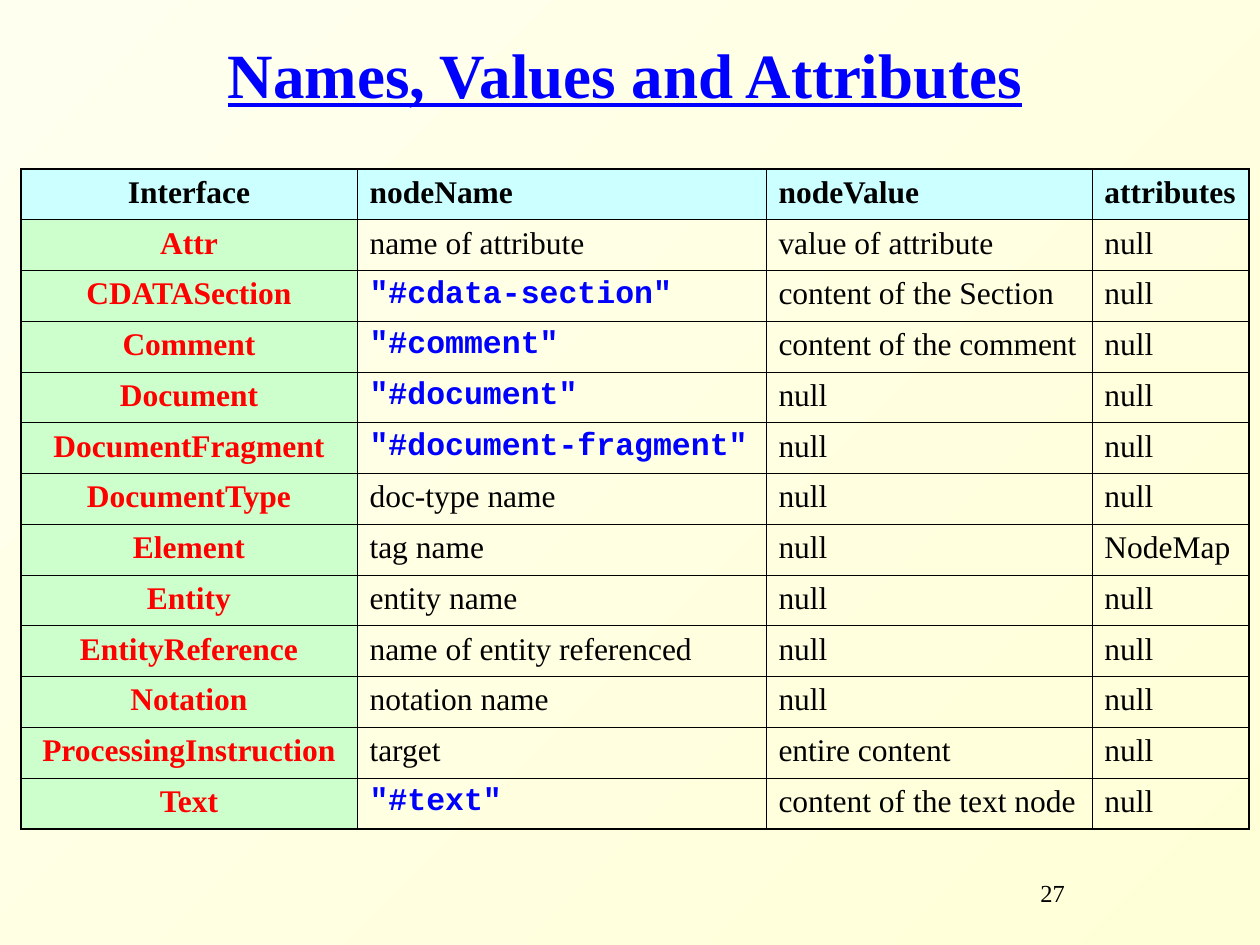
"""Build a slide with a table of DOM node names, values and attributes."""
from dataclasses import dataclass

from lxml.etree import SubElement
from pptx import Presentation
from pptx.dml.color import RGBColor
from pptx.enum.text import MSO_ANCHOR, MSO_AUTO_SIZE, PP_ALIGN
from pptx.oxml.ns import qn
from pptx.util import Emu, Inches, Pt


@dataclass(frozen=True)
class Theme:
    serif: str = "Times New Roman"
    mono: str = "Courier New"
    black: str = "000000"
    blue: str = "0000FF"
    red: str = "FF0000"
    header_fill: str = "CCFFFF"
    interface_fill: str = "CCFFCC"
    background: tuple = ("FFFFD7", "FFFFEF")
    title_size: int = 36
    table_size: int = 18
    number_size: int = 14
    thin: float = 0.45
    thick: float = 1.08


THEME = Theme()
PX_PER_INCH = 126
COLUMN_WIDTHS = (336, 409, 326, 157)
TABLE_HEIGHT = 660
ROWS = (
    ("Interface", "nodeName", "nodeValue", "attributes"),
    ("Attr", "name of attribute", "value of attribute", "null"),
    ("CDATASection", '"#cdata-section"', "content of the Section", "null"),
    ("Comment", '"#comment"', "content of the comment", "null"),
    ("Document", '"#document"', "null", "null"),
    ("DocumentFragment", '"#document-fragment"', "null", "null"),
    ("DocumentType", "doc-type name", "null", "null"),
    ("Element", "tag name", "null", "NodeMap"),
    ("Entity", "entity name", "null", "null"),
    ("EntityReference", "name of entity referenced", "null", "null"),
    ("Notation", "notation name", "null", "null"),
    ("ProcessingInstruction", "target", "entire content", "null"),
    ("Text", '"#text"', "content of the text node", "null"),
)


def px(length):
    return Emu(round(length * Inches(1) / PX_PER_INCH))


def add_run(paragraph, text, size, color, font=THEME.serif, bold=False, underline=False):
    run = paragraph.add_run()
    run.text = text
    run.font.name = font
    run.font.size = Pt(size)
    run.font.bold = bold
    run.font.underline = underline
    run.font.color.rgb = RGBColor.from_string(color)


def set_background(slide):
    fill = slide.background.fill
    fill.gradient()
    fill.gradient_angle = 135
    for stop, color in zip(fill.gradient_stops, THEME.background):
        stop.color.rgb = RGBColor.from_string(color)


def set_title(slide, text):
    title = slide.shapes.title
    title.left, title.top, title.width, title.height = map(px, (126, 21, 998, 116))
    frame = title.text_frame
    frame.word_wrap = True
    frame.auto_size = MSO_AUTO_SIZE.NONE
    frame.vertical_anchor = MSO_ANCHOR.MIDDLE
    paragraph = frame.paragraphs[0]
    paragraph.alignment = PP_ALIGN.CENTER
    paragraph.line_spacing = 0.85
    add_run(paragraph, text, THEME.title_size, THEME.blue, bold=True, underline=True)


def set_borders(cell, thick_sides):
    properties = cell._tc.get_or_add_tcPr()
    for side in "LRTB":
        width = THEME.thick if side in thick_sides else THEME.thin
        line = SubElement(properties, qn(f"a:ln{side}"), w=str(Pt(width)))
        fill = SubElement(line, qn("a:solidFill"))
        SubElement(fill, qn("a:srgbClr"), val=THEME.black)


def outer_sides(row, column):
    edges = {
        "L": column == 0,
        "R": column == len(COLUMN_WIDTHS) - 1,
        "T": row == 0,
        "B": row == len(ROWS) - 1,
    }
    return [side for side, is_outer in edges.items() if is_outer]


def fill_cell(cell, text, row, column):
    is_header, is_interface, is_literal = row == 0, column == 0, text.startswith('"')
    set_borders(cell, outer_sides(row, column))
    if is_header or is_interface:
        cell.fill.solid()
        color = THEME.header_fill if is_header else THEME.interface_fill
        cell.fill.fore_color.rgb = RGBColor.from_string(color)
    else:
        cell.fill.background()

    text_color = THEME.black
    if is_literal:
        text_color = THEME.blue
    elif is_interface and not is_header:
        text_color = THEME.red
    paragraph = cell.text_frame.paragraphs[0]
    paragraph.alignment = PP_ALIGN.CENTER if is_interface else PP_ALIGN.LEFT
    add_run(paragraph, text, THEME.table_size, text_color,
            font=THEME.mono if is_literal else THEME.serif,
            bold=is_header or is_interface or is_literal)


def add_node_table(slide):
    table = slide.shapes.add_table(
        len(ROWS), len(COLUMN_WIDTHS),
        px(21), px(169), px(sum(COLUMN_WIDTHS)), px(TABLE_HEIGHT)).table
    table.first_row = False
    table.horz_banding = False
    for column, width in zip(table.columns, COLUMN_WIDTHS):
        column.width = px(width)
    for row_index, texts in enumerate(ROWS):
        table.rows[row_index].height = px(TABLE_HEIGHT / len(ROWS))
        for column_index, text in enumerate(texts):
            fill_cell(table.cell(row_index, column_index), text, row_index, column_index)


def add_page_number(slide, text):
    frame = slide.shapes.add_textbox(px(998), px(872), px(262), px(63)).text_frame
    frame.word_wrap = True
    paragraph = frame.paragraphs[0]
    paragraph._p.get_or_add_pPr().set("marL", str(px(30)))
    add_run(paragraph, text, THEME.number_size, THEME.black)


def main():
    presentation = Presentation()
    presentation.slide_width, presentation.slide_height = px(1260), px(945)
    slide = presentation.slides.add_slide(presentation.slide_layouts[5])
    set_background(slide)
    set_title(slide, "Names, Values and Attributes")
    add_node_table(slide)
    add_page_number(slide, "27")
    presentation.save("out.pptx")


if __name__ == "__main__":
    main()
